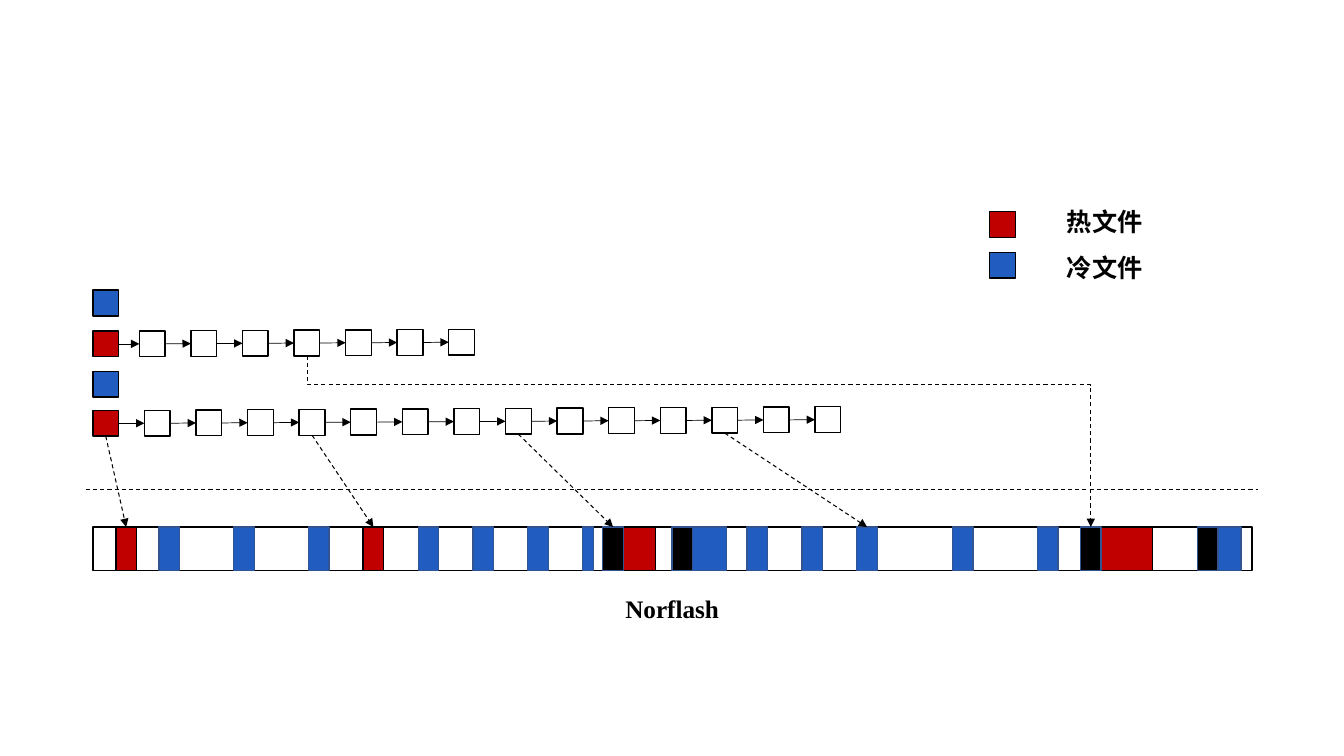
from itertools import pairwise

from lxml import etree
from pptx import Presentation
from pptx.dml.color import RGBColor
from pptx.enum.dml import MSO_LINE
from pptx.enum.shapes import MSO_CONNECTOR, MSO_SHAPE
from pptx.enum.text import PP_ALIGN
from pptx.oxml.ns import qn
from pptx.util import Cm, Pt

STRAIGHT, ELBOW = MSO_CONNECTOR.STRAIGHT, MSO_CONNECTOR.ELBOW
RECTANGLE = MSO_SHAPE.RECTANGLE
DASH = MSO_LINE.DASH
LEFT, CENTER = PP_ALIGN.LEFT, PP_ALIGN.CENTER
TOP_SITE, LEFT_SITE, BOTTOM_SITE, RIGHT_SITE = range(4)

COLORS = {
    "free": "FFFFFF",
    "hot": "C00000",
    "cold": "215CC1",
    "used": "000000",
    "ink": "000000",
    "edge": "325491",
}
BOX = 0.65
PITCH = 1.3
RISE = 0.007
MARGIN = 2.34
FLASH_TOP, FLASH_HEIGHT = 13.28, 1.09
BLOCK = 0.52


class Diagram:
    def __init__(self, slide):
        self.shapes = slide.shapes

    def color(self, name):
        return RGBColor.from_string(COLORS[name])

    def rectangle(self, left, top, width, height, fill, edge="ink"):
        shape = self.shapes.add_shape(RECTANGLE, Cm(left), Cm(top), Cm(width), Cm(height))
        shape.shadow.inherit = False
        shape.fill.solid()
        shape.fill.fore_color.rgb = self.color(fill)
        shape.line.color.rgb = self.color(edge)
        shape.line.width = Pt(1)
        return shape

    def box(self, left, top, fill):
        return self.rectangle(left, top, BOX, BOX, fill)

    def block(self, left, width, fill):
        edge = "ink" if fill == "hot" else "edge"
        return self.rectangle(left, FLASH_TOP, width, FLASH_HEIGHT, fill, edge)

    def line(self, kind, start, end, dashed=True, arrow=True):
        connector = self.shapes.add_connector(kind, *map(Cm, (*start, *end)))
        connector.line.color.rgb = self.color("ink")
        connector.line.width = Pt(0.75 if dashed else 0.5)
        properties = connector._element.spPr
        if dashed:
            connector.line.dash_style = DASH
        if arrow:
            etree.SubElement(properties.find(qn("a:ln")), qn("a:tailEnd"), type="triangle")
        etree.SubElement(properties, qn("a:effectLst"))
        return connector

    def link(self, source, source_site, target, target_site, dashed):
        connector = self.line(STRAIGHT, (0, 0), (1, 1), dashed)
        connector.begin_connect(source, source_site)
        connector.end_connect(target, target_site)

    def elbow_down(self, start, end, bend):
        (x1, y1), (x2, y2) = start, end
        center_x, center_y = (x1 + x2) / 2, (y1 + y2) / 2
        half_width, half_height = (y2 - y1) / 2, (x2 - x1) / 2
        connector = self.line(
            ELBOW,
            (center_x + half_width, center_y - half_height),
            (center_x - half_width, center_y + half_height),
        )
        properties = connector._element.spPr
        properties.find(qn("a:xfrm")).set("rot", "16200000")
        adjustments = properties.find(qn("a:prstGeom")).find(qn("a:avLst"))
        etree.SubElement(adjustments, qn("a:gd"), name="adj1", fmla=f"val {round(bend * 100000)}")

    def chain(self, first_left, top, count):
        boxes = [self.box(MARGIN, top, "hot")]
        for index in range(count):
            boxes.append(self.box(first_left + index * PITCH, top - index * RISE, "free"))
        for source, target in pairwise(boxes):
            self.link(source, RIGHT_SITE, target, LEFT_SITE, False)
        return boxes

    def label(self, text, left, top, width, font, align):
        box = self.shapes.add_textbox(Cm(left), Cm(top), Cm(width), Cm(1.02))
        box.text_frame.word_wrap = True
        paragraph = box.text_frame.paragraphs[0]
        paragraph.text = text
        paragraph.alignment = align
        paragraph.font.name = font
        paragraph.font.size = Pt(18)
        paragraph.font.bold = True
        paragraph.font.color.rgb = self.color("ink")
        defaults = paragraph._p.pPr.find(qn("a:defRPr"))
        etree.SubElement(defaults, qn("a:ea"), typeface=font)


presentation = Presentation()
presentation.slide_width = Cm(33.87)
presentation.slide_height = Cm(19.05)
diagram = Diagram(presentation.slides.add_slide(presentation.slide_layouts[6]))

diagram.rectangle(MARGIN, FLASH_TOP, 29.21, FLASH_HEIGHT, "free")
flash_blocks = {
    "cold": [
        (4.01, BLOCK), (5.89, BLOCK), (7.77, BLOCK), (10.54, BLOCK), (11.92, BLOCK),
        (13.3, BLOCK), (14.68, 0.28), (17.45, 0.86), (18.83, BLOCK), (20.21, BLOCK),
        (21.59, BLOCK), (24, BLOCK), (26.14, BLOCK), (30.68, 0.6),
    ],
    "hot": [(2.92, BLOCK), (9.15, BLOCK), (15.7, 0.82), (27.72, 1.32)],
    "used": [(15.19, BLOCK), (16.94, BLOCK), (27.23, BLOCK), (30.18, BLOCK)],
}
blocks = {
    (fill, left): diagram.block(left, width, fill)
    for fill, places in flash_blocks.items()
    for left, width in places
}
diagram.line(STRAIGHT, (2.16, 12.33), (31.7, 12.33), arrow=False)

for cold_top in (7.31, 9.36):
    diagram.box(MARGIN, cold_top, "cold")
diagram.chain(3.51, 8.34, 7)
long_chain = diagram.chain(MARGIN + PITCH, 10.34, 14)

targets = [("hot", 2.92), ("hot", 9.15), ("used", 15.19), ("cold", 21.59)]
for source, target in zip(long_chain[::4], targets):
    diagram.link(source, BOTTOM_SITE, blocks[target], TOP_SITE, True)
diagram.elbow_down((7.74, 8.96), (27.49, FLASH_TOP), 0.17)

diagram.label("Norflash", 15.19, 14.83, 3.5, "Times New Roman", CENTER)
legend = [("hot", "热文件", 5.33, 5.08), ("cold", "冷文件", 6.36, 6.23)]
for fill, text, box_top, text_top in legend:
    diagram.box(24.94, box_top, fill)
    diagram.label(text, 26.64, text_top, 2.77, "Noto Sans CJK SC", LEFT)

presentation.save("out.pptx")
